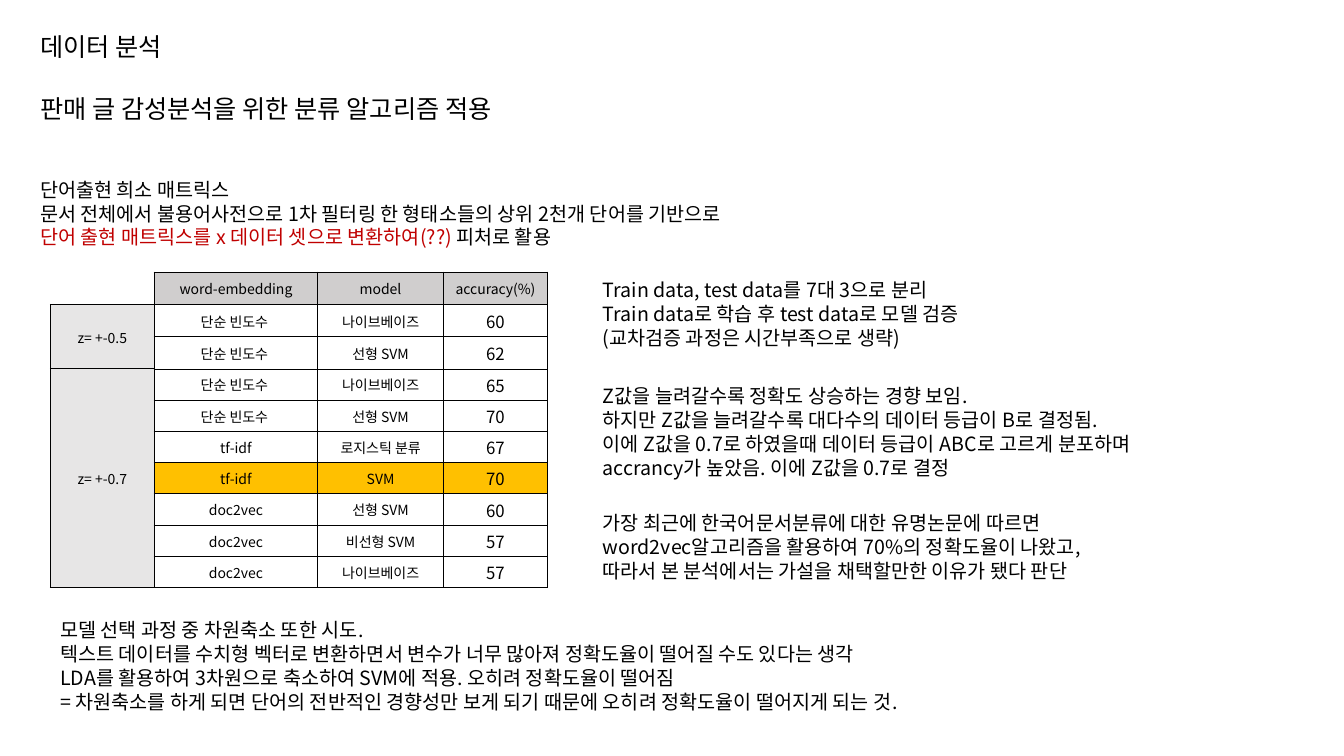
from dataclasses import dataclass
from lxml import etree
from pptx import Presentation, util as u
from pptx.dml.color import RGBColor
from pptx.enum import text as t
from pptx.oxml import ns

FONT = "Noto Sans CJK KR"
HUES = {"ink": "000000", "red": "C00000", "white": "FFFFFF", "head": "D0CECE",
        "side": "E7E6E6", "gold": "FFC000"}


@dataclass
class Note:
    """A block of lines, each a list of (words, hue) pairs."""
    left: float
    top: float
    width: float
    height: float
    lines: list
    size: int = 14
    pitch: float = 17


@dataclass
class Score:
    """One tested model."""
    embed: str
    model: str
    rate: str
    hue: str = "white"


TITLE = Note(0.3, 0.29, 12.71, 0.58, [[("데이터 분석", "ink")]], 18, 19.5)
NOTES = [
    Note(0.3, 0.87, 8.79, 0.4,
         [[("판매 글 감성분석을 위한 분류 알고리즘 적용", "ink")]], 18, 22),
    Note(0.3, 1.71, 12.71, 0.81, [
        [("단어출현 희소 매트릭스", "ink")],
        [("문서 전체에서 불용어사전으로 1차 필터링 한 형태소들의 상위 2천개 단어를 기반으로", "ink")],
        [("단어 출현 매트릭스를 x 데이터 셋으로 변환하여(??) ", "red"), ("피처로 활용", "ink")]]),
    Note(5.88, 2.71, 7.24, 0.81, [
        [("Train data, test data를 7대 3으로 분리", "ink")],
        [("Train data로 학습 후 test data로 모델 검증", "ink")],
        [("(교차검증 과정은 시간부족으로 생략)", "ink")]]),
    Note(5.88, 3.76, 7.13, 1.04, [
        [("Z값을 늘려갈수록 정확도 상승하는 경향 보임.", "ink")],
        [("하지만 Z값을 늘려갈수록 대다수의 데이터 등급이 B로 결정됨.", "ink")],
        [("이에 Z값을 0.7로 하였을때 데이터 등급이 ABC로 고르게 분포하며", "ink")],
        [("accrancy가 높았음. 이에 Z값을 0.7로 결정", "ink")]]),
    Note(5.88, 5.02, 6.85, 0.81, [
        [("가장 최근에 한국어문서분류에 대한 유명논문에 따르면", "ink")],
        [("word2vec알고리즘을 활용하여 70%의 정확도율이 나왔고,", "ink")],
        [("따라서 본 분석에서는 가설을 채택할만한 이유가 됐다 판단", "ink")]]),
    Note(0.5, 6.08, 12.24, 1.04, [
        [("모델 선택 과정 중 차원축소 또한 시도.", "ink")],
        [("텍스트 데이터를 수치형 벡터로 변환하면서 변수가 너무 많아져 정확도율이 떨어질 수도 있다는 생각", "ink")],
        [("LDA를 활용하여 3차원으로 축소하여 SVM에 적용. 오히려 정확도율이 떨어짐", "ink")],
        [("= 차원축소를 하게 되면 단어의 전반적인 경향성만 보게 되기 때문에 "
          "오히려 정확도율이 떨어지게 되는 것.", "ink")]]),
]
SCORES = [
    Score("word-embedding", "model", "accuracy(%)", "head"),
    Score("단순 빈도수 ", "나이브베이즈", "60"),
    Score("단순 빈도수 ", "선형 SVM", "62"),
    Score("단순 빈도수 ", "나이브베이즈", "65"),
    Score("단순 빈도수 ", "선형 SVM", "70"),
    Score("tf-idf", "로지스틱 분류", "67"),
    Score("tf-idf", "SVM", "70", "gold"),
    Score("doc2vec", "선형 SVM", "60"),
    Score("doc2vec", "비선형 SVM", "57"),
    Score("doc2vec", "나이브베이즈", "57"),
]
GROUPS = {(1, 2): "z= +-0.5", (3, 9): "z= +-0.7"}
WIDTHS = [1.03, 1.62, 1.25, 1.03]
HEIGHTS = [0.32] * 3 + [0.31] * 7


def shade(hue: str) -> RGBColor:
    """Return the named colour."""
    return RGBColor.from_string(HUES[hue])


def add_run(para, words: str, size: int, hue: str = "ink") -> None:
    """Add one styled run to a paragraph."""
    run = para.add_run()
    run.text = words
    run.font.size = u.Pt(size)
    run.font.name = FONT
    run.font.color.rgb = shade(hue)
    etree.SubElement(run.font._element, ns.qn("a:ea"), typeface=FONT)


def fill_note(shape, note: Note) -> None:
    """Place a text shape and write the lines of its note."""
    shape.left, shape.top = u.Inches(note.left), u.Inches(note.top)
    shape.width, shape.height = u.Inches(note.width), u.Inches(note.height)
    frame = shape.text_frame
    frame.word_wrap = True
    frame.auto_size = t.MSO_AUTO_SIZE.NONE
    frame.vertical_anchor = t.MSO_ANCHOR.TOP
    for i, line in enumerate(note.lines):
        para = frame.add_paragraph() if i else frame.paragraphs[0]
        para.alignment = t.PP_ALIGN.LEFT
        para.line_spacing = u.Pt(note.pitch)
        for words, hue in line:
            add_run(para, words, note.size, hue)


def add_edge(cell, side: str, width: float) -> None:
    """Draw one border of a cell."""
    props = cell._tc.get_or_add_tcPr()
    line = etree.SubElement(props, ns.qn(f"a:ln{side}"), w=str(u.Pt(width)))
    fill = etree.SubElement(line, ns.qn("a:solidFill"))
    etree.SubElement(fill, ns.qn("a:srgbClr"), val=HUES["ink"])


def style_cell(cell, row: int, col: int, hue: str) -> None:
    """Set the borders, fill and margins of a cell."""
    blank = row == col == 0
    edges = {"L": col in (0, 1), "R": col in (0, 3),
             "T": col == 0 or row in (0, 1), "B": col == 0 or row in (0, 9)}
    for side, bold in edges.items():
        if not (blank and side in "LT"):
            add_edge(cell, side, 1 if bold else 0.5)
    cell.fill.solid()
    cell.fill.fore_color.rgb = shade(hue)
    cell.margin_left = cell.margin_right = cell.margin_top = u.Inches(0.01)
    cell.margin_bottom = 0
    cell.vertical_anchor = t.MSO_ANCHOR.MIDDLE


def write_cell(cell, words: str, size: int) -> None:
    """Write centred words in a cell."""
    para = cell.text_frame.paragraphs[0]
    para.alignment = t.PP_ALIGN.CENTER
    if words:
        add_run(para, words, size)
    else:
        para._p.get_or_add_endParaRPr().set("sz", str(size * 100))


def add_grid(slide) -> None:
    """Build the table of scores."""
    grid = slide.shapes.add_table(
        len(HEIGHTS), len(WIDTHS), u.Inches(0.5), u.Inches(2.7),
        u.Inches(sum(WIDTHS)), u.Inches(sum(HEIGHTS))).table
    grid.first_row = grid.horz_banding = False
    for column, width in zip(grid.columns, WIDTHS):
        column.width = u.Inches(width)
    names = {first: name for (first, _), name in GROUPS.items()}
    for row, score in enumerate(SCORES):
        grid.rows[row].height = u.Inches(HEIGHTS[row])
        words = [names.get(row, ""), score.embed, score.model, score.rate]
        for col, word in enumerate(words):
            cell = grid.cell(row, col)
            side = "side" if row else "white"
            style_cell(cell, row, col, score.hue if col else side)
            write_cell(cell, word, 12 if row and col == 3 else 10)
    for first, last in GROUPS:
        grid.cell(first, 0).merge(grid.cell(last, 0))


def main() -> None:
    """Build and save the slide."""
    deck = Presentation()
    deck.slide_width, deck.slide_height = u.Inches(13.33), u.Inches(7.5)
    slide = deck.slides.add_slide(deck.slide_layouts[5])
    add_grid(slide)
    fill_note(slide.shapes.title, TITLE)
    for note in NOTES:
        fill_note(slide.shapes.add_textbox(0, 0, 0, 0), note)
    deck.save("out.pptx")


if __name__ == "__main__":
    main()
